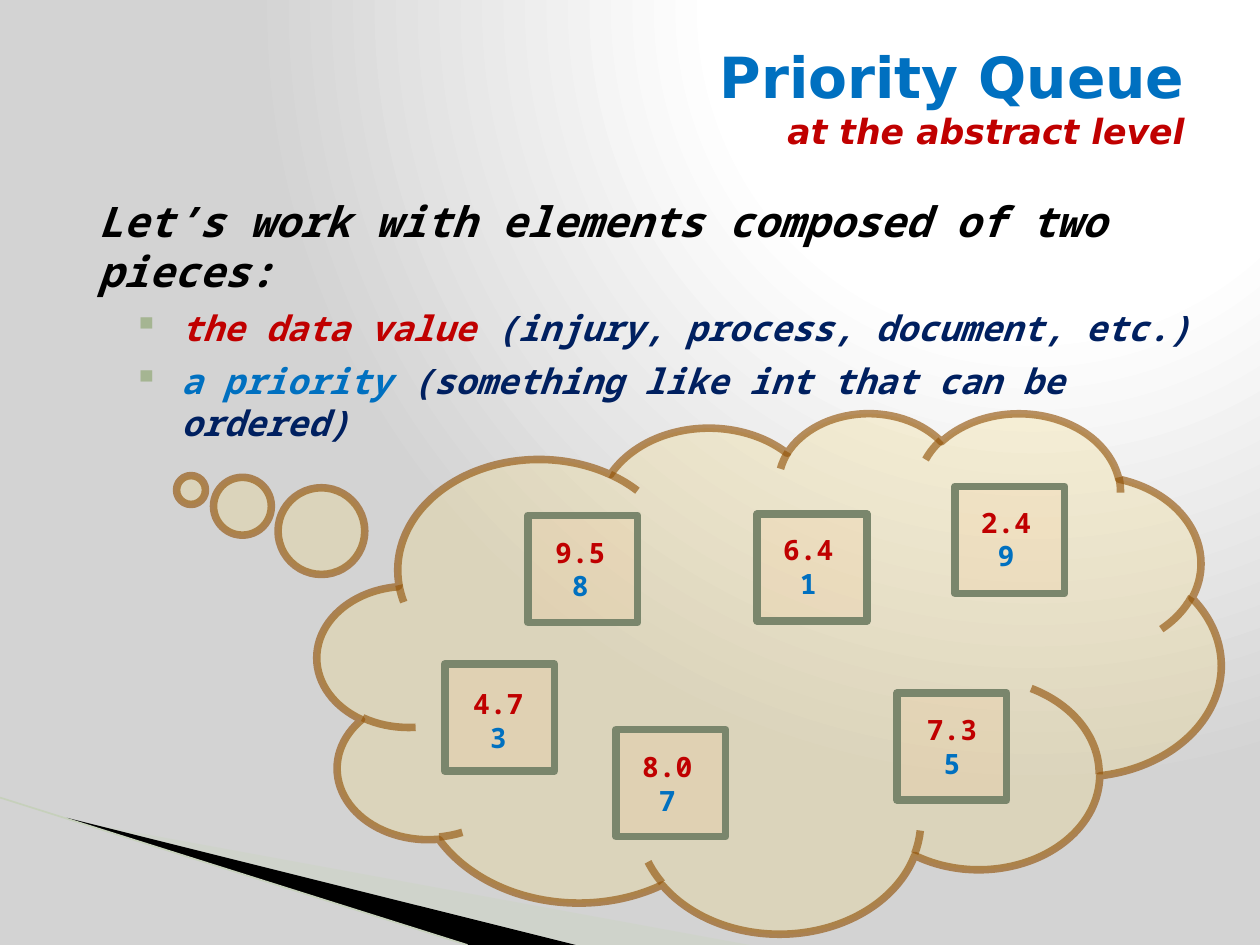
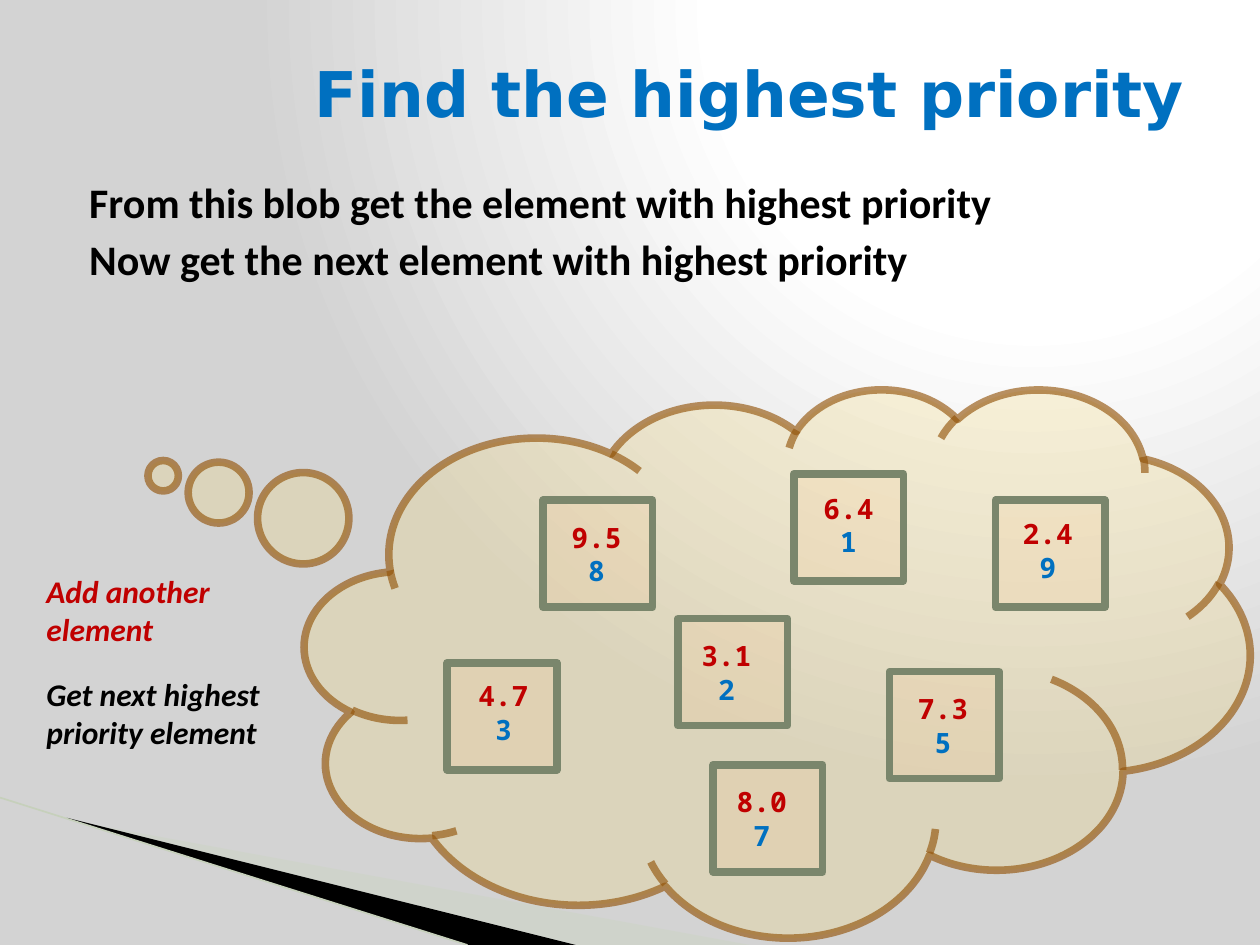
import pptx
import pptx.dml.color
import pptx.enum.shapes
import pptx.enum.text
import pptx.oxml
import pptx.oxml.ns
import pptx.util
from dataclasses import dataclass
from lxml import etree

SHAPE = pptx.enum.shapes.MSO_SHAPE
ALIGN = pptx.enum.text.PP_ALIGN
ANCHOR = pptx.enum.text.MSO_ANCHOR
qn = pptx.oxml.ns.qn


@dataclass(frozen=True)
class Theme:
    # Colours
    red: str = "C00000"
    blue: str = "0070C0"
    navy: str = "002060"
    black: str = "000000"
    white: str = "FFFFFF"
    edge: str = "D3D3D3"
    wedge: str = "CBD4C0"
    wedge_line: str = "C6D0BB"
    bullet: str = "A5B592"
    cloud: str = "F1D77F"
    cloud_line: str = "93540A"
    card: str = "F8C891"
    card_line: str = "7A866C"
    # Fonts
    heading: str = "DejaVu Sans"
    body: str = "Calibri"
    mono: str = "Noto Sans Mono"
    # Sizes in points
    title_size: float = 36
    long_title_size: float = 32.4
    subtitle_size: float = 19.8
    lead_size: float = 24
    point_size: float = 20
    note_size: float = 18
    card_size: float = 16
    outline: float = 4.33


class Deck:
    """Holds the theme and the current slide; lengths are cells of a 40 x 30 grid."""

    COLS, ROWS = 40, 30

    def __init__(self, theme):
        self.t = theme
        self.prs = pptx.Presentation()
        self.prs.slide_width = pptx.util.Inches(10)
        self.prs.slide_height = pptx.util.Inches(7.5)
        self.s = None

    def x(self, cols):
        return round(self.prs.slide_width * cols / self.COLS)

    def y(self, rows):
        return round(self.prs.slide_height * rows / self.ROWS)

    def area(self, left, top, width, height):
        return self.x(left), self.y(top), self.x(width), self.y(height)

    def paint(self, fmt, color, alpha=None):
        """Gives a fill a solid colour, with opacity in percent."""
        fmt.solid()
        fmt.fore_color.rgb = pptx.dml.color.RGBColor.from_string(color)
        if alpha:
            clr = fmt._xPr.find(qn("a:solidFill"))[0]
            etree.SubElement(clr, qn("a:alpha"), val=str(alpha * 1000))

    # Slide with the shared background and corner wedge
    def new_slide(self):
        self.s = self.prs.slides.add_slide(self.prs.slide_layouts[6])
        self.background()
        self.wedge([(2.2, 26.04), (23.8, 30), (18.24, 30), (2.2, 26)], self.t.wedge, 40)
        self.wedge([(2.12, 25.96), (18.28, 30), (14.88, 30), (2.16, 26)], self.t.black)
        self.line((0, 25.32), (14.84, 30), self.t.wedge_line, 0.95)

    def background(self):
        fill = self.s.background.fill
        fill.gradient()
        grad = fill._xPr.find(qn("a:gradFill"))
        stops = ((0, self.t.white), (40, self.t.white), (100, self.t.edge))
        gs = "".join(f'<a:gs pos="{pos * 1000}"><a:srgbClr val="{c}"/></a:gs>'
                     for pos, c in stops)
        ns = pptx.oxml.ns.nsdecls("a")
        fill._xPr.replace(grad, pptx.oxml.parse_xml(
            f'<a:gradFill {ns} rotWithShape="1"><a:gsLst>{gs}</a:gsLst><a:path path="circle">'
            '<a:fillToRect l="65000" b="98000"/></a:path></a:gradFill>'))

    def wedge(self, points, color, alpha=None):
        corners = [(self.x(a), self.y(b)) for a, b in points]
        fb = self.s.shapes.build_freeform(*corners[0])
        fb.add_line_segments(corners[1:])
        sp = fb.convert_to_shape()
        sp.shadow.inherit = False
        self.paint(sp.fill, color, alpha)
        sp.line.fill.background()

    def line(self, start, end, color, width):
        sp = self.s.shapes.add_connector(
            pptx.enum.shapes.MSO_CONNECTOR.STRAIGHT,
            self.x(start[0]), self.y(start[1]), self.x(end[0]), self.y(end[1]))
        self.paint(sp.line.fill, color)
        sp.line.width = pptx.util.Pt(width)
        etree.SubElement(sp._element.spPr, qn("a:effectLst"))

    def shape(self, shapes, kind, area, fill, alpha, line, line_alpha=None):
        sp = shapes.add_shape(kind, *self.area(*area))
        sp.shadow.inherit = False
        self.paint(sp.fill, fill, alpha)
        self.paint(sp.line.fill, line, line_alpha)
        sp.line.width = pptx.util.Pt(self.t.outline)
        return sp

    # Text: each paragraph is a list of (text, colour, size, italic) runs
    def text(self, area, paragraphs, font, align=ALIGN.LEFT, anchor=ANCHOR.TOP,
             indent=0, space=0, bullets=False, shapes=None):
        tf = (shapes or self.s.shapes).add_textbox(*self.area(*area)).text_frame
        tf.word_wrap = True
        tf.vertical_anchor = anchor
        for i, runs in enumerate(paragraphs):
            p = tf.add_paragraph() if i else tf.paragraphs[0]
            if bullets and i:
                self.bullet(p)
            elif indent:
                p._p.get_or_add_pPr().set("marL", str(self.x(indent)))
            p.alignment = align
            p.space_before = pptx.util.Pt(space if i else 0)
            for text, color, size, italic in runs:
                r = p.add_run()
                r.text = text
                r.font.name = font
                r.font.size = pptx.util.Pt(size)
                r.font.bold = True
                r.font.italic = italic
                self.paint(r.font.fill, color)

    def bullet(self, p):
        p.level = 1
        pPr = p._p.get_or_add_pPr()
        pPr.set("marL", str(self.x(3.12)))
        pPr.set("indent", str(-self.x(1.52)))
        clr = etree.SubElement(pPr, qn("a:buClr"))
        etree.SubElement(clr, qn("a:srgbClr"), val=self.t.bullet)
        etree.SubElement(pPr, qn("a:buChar"), char="▪")

    def title(self, height, *lines):
        self.text((2, 1.2, 36, height), [[line] for line in lines], self.t.heading,
                  align=ALIGN.RIGHT, anchor=ANCHOR.MIDDLE)

    def body(self, area, paragraphs, font, space, bullets=False):
        self.text(area, paragraphs, font, indent=0.48, space=space, bullets=bullets)

    def note(self, area, text, color):
        self.text(area, [[(text, color, self.t.note_size, True)]], self.t.body)

    def cloud(self, area, tail):
        sp = self.shape(self.s.shapes, SHAPE.CLOUD_CALLOUT, area,
                        self.t.cloud, 28, self.t.cloud_line, 63)
        sp.adjustments[0], sp.adjustments[1] = tail

    def cards(self, elements, grouped=False):
        """Draws each queue element: data value above priority in a square."""
        for value, priority, left, top, dx, dy in elements:
            shapes = self.s.shapes
            if grouped:
                shapes = shapes.add_group_shape().shapes
            self.shape(shapes, SHAPE.RECTANGLE, (left, top, 3.48, 3.4),
                       self.t.card, 19, self.t.card_line)
            lines = [[(value, self.t.red, self.t.card_size, False)],
                     [(priority, self.t.blue, self.t.card_size, False)]]
            self.text((left + dx, top + dy, 2.6, 2.56), lines, self.t.mono,
                      align=ALIGN.CENTER, shapes=shapes)


# Queue elements: value, priority, card left and top, label offset
ABSTRACT_QUEUE = [
    ("4.7", "3", 14.12, 21.08, 0.4, 0.52),
    ("8.0", "7", 19.56, 23.16, 0.32, 0.44),
    ("2.4", "9", 30.32, 15.44, 0.32, 0.4),
    ("9.5", "8", 16.76, 16.36, 0.36, 0.44),
    ("6.4", "1", 24.04, 16.32, 0.32, 0.4),
    ("7.3", "5", 28.48, 22, 0.44, 0.44),
]
SEARCH_QUEUE = [
    ("6.4", "1", 25.2, 15.04, 0.44, 0.36),
    ("4.7", "3", 14.2, 21.04, 0.48, 0.32),
    ("8.0", "7", 22.64, 24.28, 0.24, 0.44),
    ("7.3", "5", 28.24, 21.32, 0.4, 0.44),
    ("9.5", "8", 17.24, 15.88, 0.4, 0.44),
    ("2.4", "9", 31.6, 15.88, 0.36, 0.32),
    ("3.1", "2", 21.52, 19.64, 0.24, 0.44),
]


def main():
    t = Theme()
    deck = Deck(t)

    # Slide 1: what a queue element is
    deck.new_slide()
    deck.body((2.24, 6, 36, 22.44), [
        [("Let’s work with elements composed of two pieces:", t.black, t.lead_size, True)],
        [("the data value ", t.red, t.point_size, True),
         ("(injury, process, document, etc.)", t.navy, t.point_size, True)],
        [("a priority ", t.blue, t.point_size, True),
         ("(something like int that can be ordered)", t.navy, t.point_size, True)],
    ], t.mono, space=6, bullets=True)
    deck.title(3.76, ("Priority Queue", t.blue, t.long_title_size, False),
               ("at the abstract level", t.red, t.subtitle_size, True))
    deck.cloud((10.08, 13.08, 28.68, 16.52), (-0.64, -0.35))
    deck.cards(ABSTRACT_QUEUE)

    # Slide 2: taking elements by priority
    deck.new_slide()
    deck.body((1.96, 5.4, 36, 22.68), [
        [(f"{step} element with highest priority", t.black, t.lead_size, False)]
        for step in ("From this blob get the", "Now get the next")
    ], t.body, space=4)
    deck.title(3.48, ("Find the highest priority", t.blue, t.title_size, False))
    deck.cloud((9.68, 12.32, 30, 17.4), (-0.65, -0.34))
    deck.cards(SEARCH_QUEUE, grouped=True)
    deck.note((1.08, 17.96, 6.68, 2.84), "Add another element", t.red)
    deck.note((1.08, 21.24, 7.96, 2.84), "Get next highest priority element", t.black)

    deck.prs.save("out.pptx")


if __name__ == "__main__":
    main()
